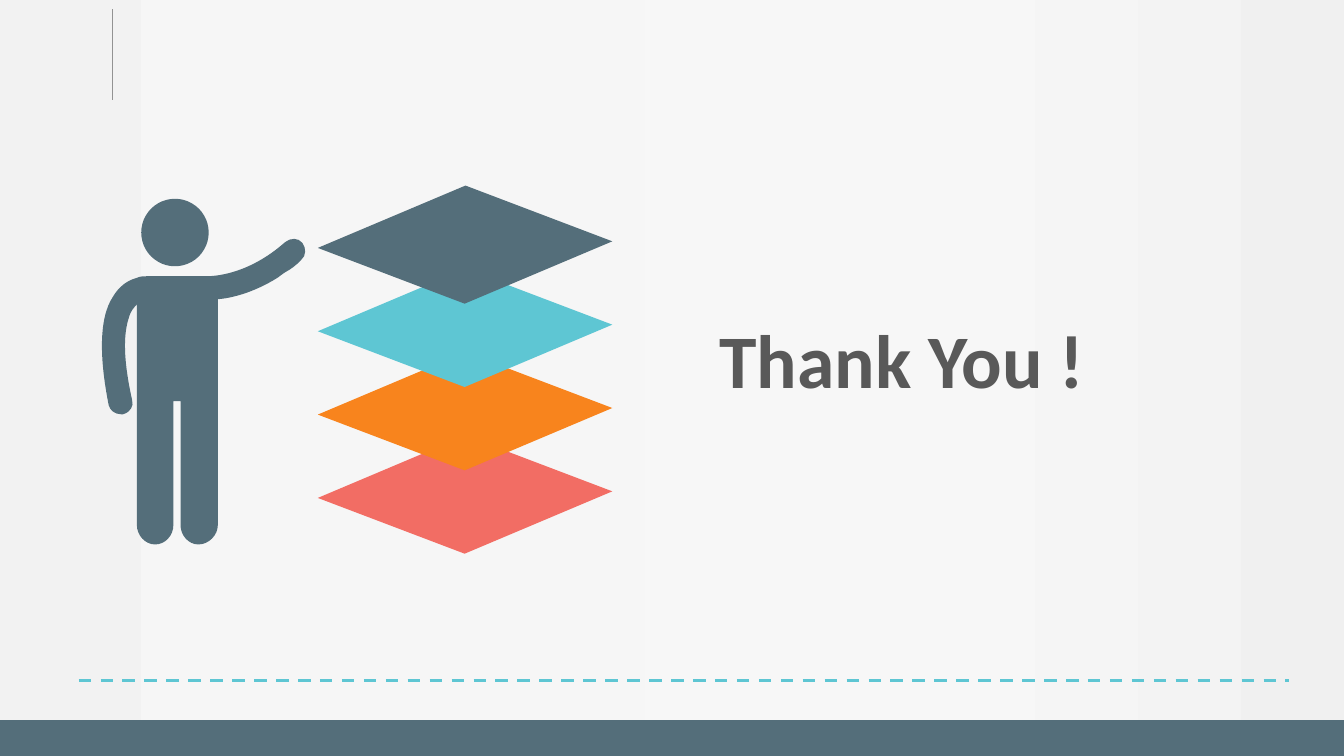
from lxml import etree
from pptx import Presentation
from pptx.dml.color import RGBColor
from pptx.enum.dml import MSO_LINE
from pptx.enum.shapes import MSO_CONNECTOR, MSO_SHAPE
from pptx.enum.text import MSO_AUTO_SIZE
from pptx.oxml.ns import qn
from pptx.util import Cm, Pt

STRAIGHT = MSO_CONNECTOR.STRAIGHT
DASH = MSO_LINE.DASH
RECTANGLE = MSO_SHAPE.RECTANGLE
OVAL = MSO_SHAPE.OVAL
PARALLELOGRAM = MSO_SHAPE.PARALLELOGRAM
FIT_SHAPE = MSO_AUTO_SIZE.SHAPE_TO_FIT_TEXT

SLATE = RGBColor(0x54, 0x6E, 0x7A)
TEAL = RGBColor(0x5E, 0xC6, 0xD3)
ORANGE = RGBColor(0xF8, 0x84, 0x1D)
CORAL = RGBColor(0xF2, 0x6D, 0x64)
GRAY = RGBColor(0x93, 0x93, 0x93)
TEXT_GRAY = RGBColor(0x59, 0x59, 0x59)
BACKGROUND_STOPS = [
    (0, RGBColor(0xF2, 0xF2, 0xF2)),
    (21, RGBColor(0xF6, 0xF6, 0xF6)),
    (48, RGBColor(0xF7, 0xF7, 0xF7)),
    (77, RGBColor(0xF5, 0xF5, 0xF5)),
    (100, RGBColor(0xF0, 0xF0, 0xF0)),
]

# Body outline in centimetres: one point is a line, three points are a curve
BODY_START = (7.01, 6.99)
BODY_SEGMENTS = [
    # Raised arm and shoulders
    [(7.06, 6.93), (7.14, 6.91), (7.19, 6.86)],
    [(7.34, 6.78), (7.47, 6.68), (7.59, 6.55)],
    [(7.72, 6.45), (7.72, 6.25), (7.62, 6.12)],
    [(7.52, 5.99), (7.32, 5.99), (7.19, 6.1)],
    [(7.14, 6.15), (7.06, 6.2), (7.01, 6.25)],
    [(6.15, 6.93), (5.38, 6.96), (5.23, 6.96)],
    [(3.73, 6.96)],
    # Lowered arm
    [(3.63, 6.96), (3.53, 6.96), (3.43, 7.01)],
    [(3.23, 7.06), (3, 7.21), (2.84, 7.49)],
    [(2.67, 7.75), (2.57, 8.15), (2.57, 8.71)],
    [(2.57, 9.12), (2.62, 9.6), (2.74, 10.21)],
    [(2.77, 10.34), (2.9, 10.44), (3.05, 10.44)],
    [(3.1, 10.44)],
    [(3.28, 10.39), (3.38, 10.24), (3.33, 10.08)],
    [(3.2, 9.5), (3.15, 9.04), (3.15, 8.71)],
    [(3.15, 8.38), (3.2, 8.15), (3.25, 8)],
    [(3.3, 7.82), (3.38, 7.75), (3.45, 7.67)],
    # Legs
    [(3.45, 13.23)],
    [(3.45, 13.49), (3.66, 13.72), (3.91, 13.72)],
    [(4.17, 13.72), (4.37, 13.49), (4.37, 13.23)],
    [(4.37, 10.11)],
    [(4.55, 10.11)],
    [(4.55, 13.23)],
    [(4.55, 13.49), (4.75, 13.72), (5, 13.72)],
    [(5.26, 13.72), (5.49, 13.49), (5.49, 13.23)],
    # Side and underside of the raised arm
    [(5.49, 7.54)],
    [(5.79, 7.52), (6.38, 7.39), (7.01, 6.99)],
]


def set_background(slide):
    fill = slide.background.fill
    fill.gradient()
    fill.gradient_angle = 0
    stop_list = slide._element.find(".//" + qn("a:gsLst"))
    for stop in list(stop_list):
        stop_list.remove(stop)
    for percent, color in BACKGROUND_STOPS:
        stop = etree.SubElement(stop_list, qn("a:gs"), pos=str(percent * 1000))
        etree.SubElement(stop, qn("a:srgbClr"), val=str(color))


def paint(shape, color):
    shape.shadow.inherit = False
    shape.fill.solid()
    shape.fill.fore_color.rgb = color
    shape.line.fill.background()


def add_filled_shape(shapes, kind, left, top, width, height, color):
    shape = shapes.add_shape(kind, Cm(left), Cm(top), Cm(width), Cm(height))
    paint(shape, color)
    return shape


def add_line(slide, x1, y1, x2, y2, color, width):
    line = slide.shapes.add_connector(STRAIGHT, Cm(x1), Cm(y1), Cm(x2), Cm(y2))
    line.line.color.rgb = color
    line.line.width = Pt(width)
    etree.SubElement(line._element.spPr, qn("a:effectLst"))
    return line


def add_curved_outline(shapes, start, segments, color):
    builder = shapes.build_freeform(Cm(start[0]), Cm(start[1]))
    points = [(Cm(x), Cm(y)) for segment in segments for x, y in segment]
    builder.add_line_segments(points, close=True)
    shape = builder.convert_to_shape()
    paint(shape, color)
    # Join each run of three line steps into one Bézier curve
    steps = iter(list(shape._element.iter(qn("a:lnTo"))))
    for segment in segments:
        parts = [next(steps) for _ in segment]
        if len(parts) == 3:
            curve = etree.Element(qn("a:cubicBezTo"))
            parts[0].addprevious(curve)
            for part in parts:
                curve.append(part[0])
                part.getparent().remove(part)


def add_person(slide):
    person = slide.shapes.add_group_shape()
    add_curved_outline(person.shapes, BODY_START, BODY_SEGMENTS, SLATE)
    add_filled_shape(person.shapes, OVAL, 3.56, 5.01, 1.7, 1.7, SLATE)


def add_layers(slide):
    for index, color in enumerate((CORAL, ORANGE, TEAL, SLATE)):
        layer = add_filled_shape(slide.shapes, PARALLELOGRAM,
                                 8.28, 11.07 - 2.1 * index, 6.88, 2.79, color)
        layer.adjustments[0] = 1.047
        layer.rotation = 20.8


def add_message(slide, text):
    box = slide.shapes.add_textbox(Cm(17.88), Cm(7.75), Cm(9.8), Cm(2.57))
    box.text_frame.word_wrap = False
    box.text_frame.auto_size = FIT_SHAPE
    run = box.text_frame.paragraphs[0].add_run()
    run.text = text
    run.font.name = "Calibri"
    run.font.size = Pt(54)
    run.font.bold = True
    run.font.color.rgb = TEXT_GRAY


def main():
    presentation = Presentation()
    presentation.slide_width = Cm(33.87)
    presentation.slide_height = Cm(19.05)
    slide = presentation.slides.add_slide(presentation.slide_layouts[6])

    # Background, title rule and footer bar
    set_background(slide)
    add_line(slide, 2.82, 0.23, 2.82, 2.51, GRAY, 0.5)
    add_filled_shape(slide.shapes, RECTANGLE, 0, 18.15, 33.87, 0.9, SLATE)

    # Message and dashed rule
    add_message(slide, "Thank You !")
    add_line(slide, 1.98, 17.15, 32.49, 17.15, TEAL, 2.25).line.dash_style = DASH

    # Person pointing at the stacked layers
    add_layers(slide)
    add_person(slide)

    presentation.save("out.pptx")


if __name__ == "__main__":
    main()
